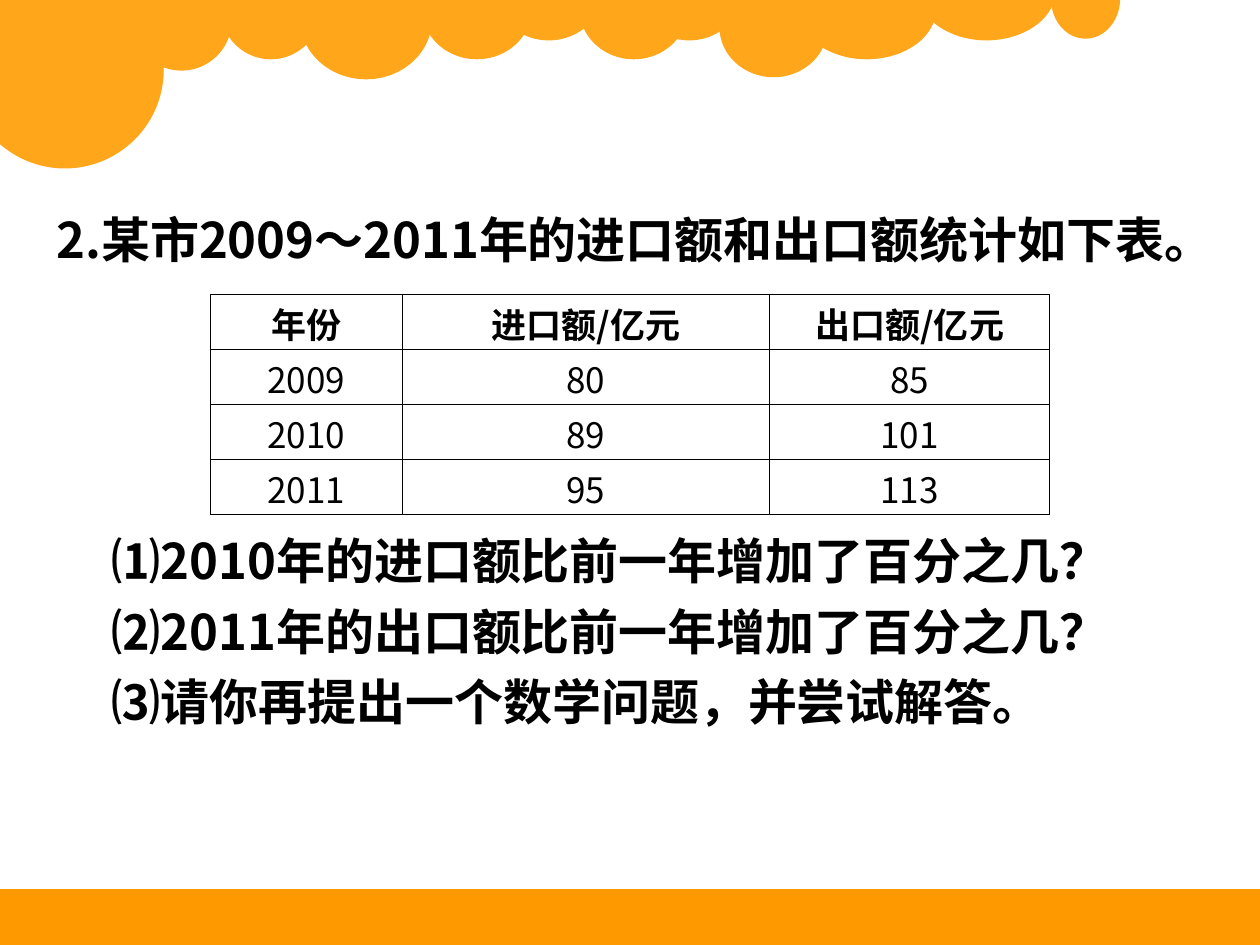
from lxml.etree import SubElement
from pptx import Presentation
from pptx.dml.color import RGBColor
from pptx.enum.shapes import MSO_SHAPE
from pptx.enum.text import PP_ALIGN
from pptx.oxml.ns import qn
from pptx.util import Inches, Pt

FONT = "Noto Sans CJK SC"
HUES = {"cloud": "FFA61B", "band": "FF9900", "ink": "000000"}

TITLE = ["2.某市2009～2011年的进口额和出口额统计如下表。"]
TASKS = [
    "⑴2010年的进口额比前一年增加了百分之几？",
    "⑵2011年的出口额比前一年增加了百分之几？",
    "⑶请你再提出一个数学问题，并尝试解答。",
]
TRADE = [
    ("年份", "进口额/亿元", "出口额/亿元"),
    ("2009", "80", "85"),
    ("2010", "89", "101"),
    ("2011", "95", "113"),
]

# Boxes are left, top, width, height in percent of the slide's size.
PUFFS = [
    (-2.7, -3.1, 15.7, 20.93),
    (10.4, -3.2, 8, 10.67),
    (17.5, -4.4, 8, 10.67),
    (23.8, -4.4, 10.5, 12.8),
    (33.5, -4.4, 8.7, 10.67),
    (39.2, -6.4, 8.7, 10.67),
    (46, -4.4, 8.6, 10.67),
    (50.4, -6.4, 8.6, 10.67),
    (57.1, -2.5, 8.6, 10.67),
    (63.3, -4.4, 11, 10.67),
    (72.8, -6.4, 11, 10.67),
    (83.4, -4.4, 5.5, 8.5),
]
BAND = (-1.1, 94.1, 101.1, 5.9)
TITLE_BOX = (3.5, 20.27, 92.1, 16.27)
TASK_BOX = (7.9, 54.27, 87.8, 23.73)
TABLE_BOX = (16.7, 31.1, 66.7, 23.3)
COLS = (15.2, 29.2, 22.2)

deck = Presentation()
deck.slide_width, deck.slide_height = Inches(10), Inches(7.5)
slide = deck.slides.add_slide(deck.slide_layouts[6])


def wide(share):
    return round(deck.slide_width * share / 100)


def high(share):
    return round(deck.slide_height * share / 100)


def place(box):
    left, top, width, height = box
    return wide(left), high(top), wide(width), high(height)


def add_flat(shapes, kind, box, hue):
    shape = shapes.add_shape(kind, *place(box))
    shape.shadow.inherit = False
    shape.fill.solid()
    shape.fill.fore_color.rgb = RGBColor.from_string(HUES[hue])
    shape.line.fill.background()


def write(para, text, size, bold):
    run = para.add_run()
    run.text = text
    font = run.font
    font.name, font.size, font.bold = FONT, Pt(size), bold
    font.color.rgb = RGBColor.from_string(HUES["ink"])
    SubElement(run._r.get_or_add_rPr(), qn("a:ea"), typeface=FONT)


def add_text(box, lines):
    frame = slide.shapes.add_textbox(*place(box)).text_frame
    frame.word_wrap = True
    for i, line in enumerate(lines):
        para = frame.add_paragraph() if i else frame.paragraphs[0]
        para.line_spacing = 1.2
        write(para, line, 28, True)


def rule(cell):
    """Draw a thin line on each side of the cell, with no fill inside."""
    props = cell._tc.get_or_add_tcPr()
    for side in ("lnL", "lnR", "lnT", "lnB"):
        line = SubElement(props, qn(f"a:{side}"), w=str(Pt(0.45)))
        fill = SubElement(line, qn("a:solidFill"))
        SubElement(fill, qn("a:srgbClr"), val=HUES["ink"])
    cell.fill.background()


def add_grid(box, rows):
    table = slide.shapes.add_table(len(rows), len(COLS), *place(box)).table
    table.horz_banding = False
    for col, share in zip(table.columns, COLS):
        col.width = wide(share)
    for r, row in enumerate(rows):
        for c, text in enumerate(row):
            cell = table.cell(r, c)
            cell.margin_top, cell.margin_bottom = Inches(0.03), 0
            rule(cell)
            para = cell.text_frame.paragraphs[0]
            para.alignment = PP_ALIGN.CENTER
            write(para, text, 20, r == 0)


cloud = slide.shapes.add_group_shape()
for puff in PUFFS:
    add_flat(cloud.shapes, MSO_SHAPE.OVAL, puff, "cloud")
add_flat(slide.shapes, MSO_SHAPE.RECTANGLE, BAND, "band")
add_text(TITLE_BOX, TITLE)
add_grid(TABLE_BOX, TRADE)
add_text(TASK_BOX, TASKS)

deck.save("out.pptx")
